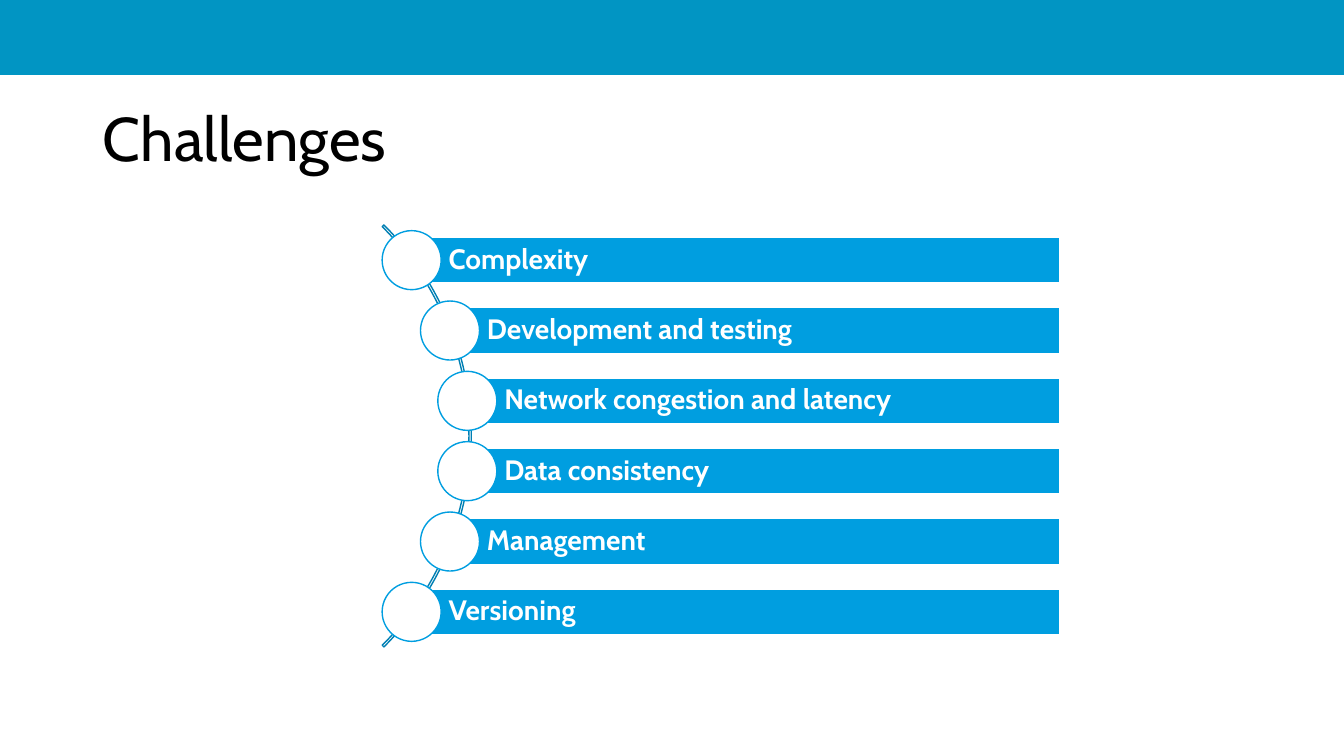
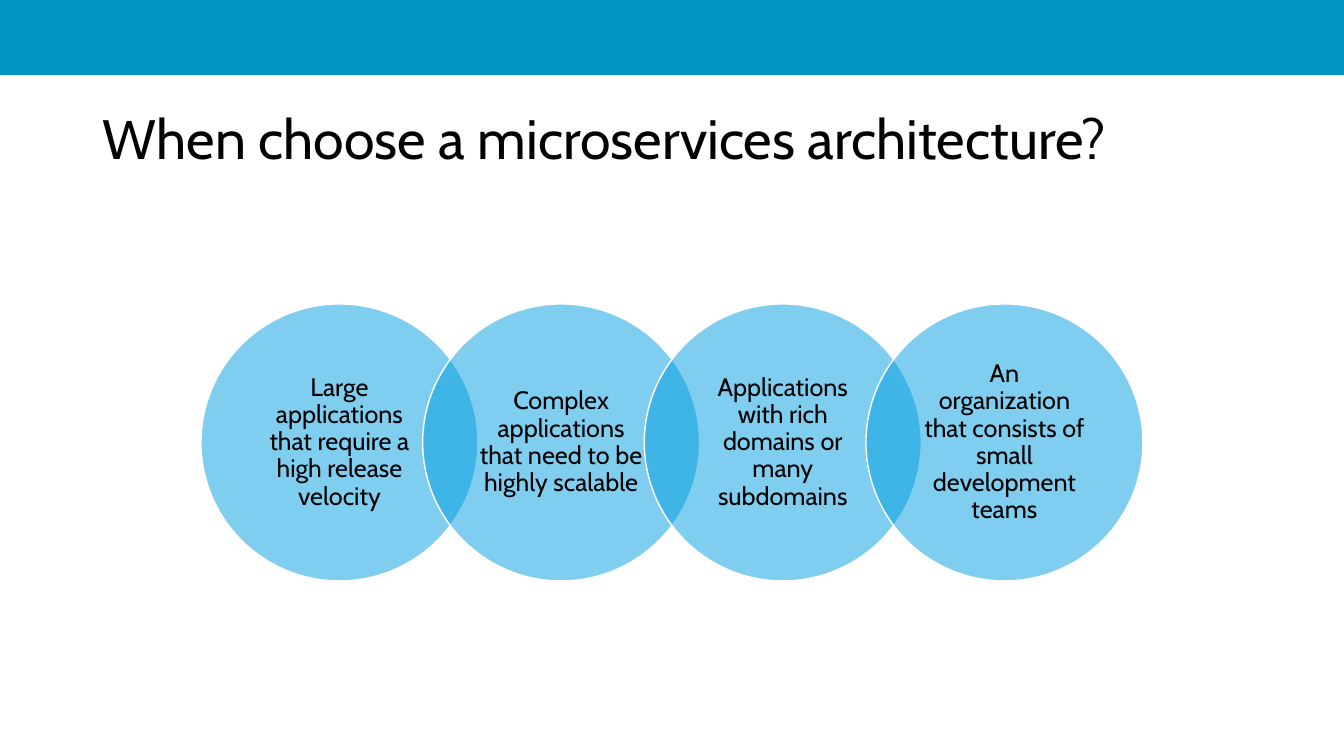
from math import sqrt

from pptx import Presentation
from pptx import util as u
from pptx.dml.color import RGBColor
from pptx.enum import shapes, text
from pptx.oxml import parse_xml
from pptx.oxml.ns import nsdecls, qn

WIDE, HIGH = 1344, 756
SCALE = 914400 / 100.8
FONT = "Cabin"
INK = {"band": "0195C3", "blue": "009EE0", "arc": "007FB3",
       "white": "FFFFFF", "black": "000000"}
KIND = shapes.MSO_SHAPE


def px(n):
    return u.Emu(round(n * SCALE))


def rgb(name):
    return RGBColor.from_string(INK[name])


def shape(slide, kind, box, fill=None, line=None):
    item = slide.shapes.add_shape(kind, *map(px, box))
    item.shadow.inherit = False
    if fill:
        item.fill.solid()
        item.fill.fore_color.rgb = rgb(fill)
    else:
        item.fill.background()
    if line:
        item.line.color.rgb = rgb(line)
        item.line.width = u.Pt(1)
    else:
        item.line.fill.background()
    return item


def write(item, words, size, ink, inset, align=text.PP_ALIGN.LEFT, bold=False):
    frame = item.text_frame
    frame.word_wrap = True
    frame.auto_size = text.MSO_AUTO_SIZE.NONE
    frame.vertical_anchor = text.MSO_ANCHOR.MIDDLE
    (frame.margin_left, frame.margin_top,
     frame.margin_right, frame.margin_bottom) = map(px, inset)
    frame.text = words
    para = frame.paragraphs[0]
    para.alignment = align
    para.line_spacing = 0.9
    font = para.font
    font.name, font.size, font.bold = FONT, u.Pt(size), bold
    font.color.rgb = rgb(ink)


def fade(item, percent):
    color = item.fill._xPr.find(qn("a:solidFill"))[0]
    color.append(parse_xml(
        f'<a:alpha {nsdecls("a")} val="{percent * 1000}"/>'))


def page(deck, words, size):
    """Add a slide with its title."""
    slide = deck.slides.add_slide(deck.slide_layouts[5])
    title = slide.shapes.title
    title.left, title.top, title.width, title.height = map(
        px, (93, 98, 1159, 88))
    write(title, words, size, "black", (10, 5, 10, 5))
    return slide


def band(slide):
    """Put the top band on the layout that the slides share."""
    bar = shape(slide, KIND.RECTANGLE, (0, 0, WIDE, 75), "band")
    slide.slide_layout.shapes.element.append(bar.element)


def curve(slide, box, items):
    """Bars whose dots follow a quarter arc at the left of the box."""
    left, top, wide, high = box
    mid_x, mid_y = left - high / 2, top + high / 2
    rad = high / sqrt(2)
    arc = shape(slide, KIND.BLOCK_ARC,
                (mid_x - rad, mid_y - rad, 2 * rad, 2 * rad), line="arc")
    for i, value in enumerate((189, 27, 0.004)):
        arc.adjustments[i] = value

    step, tall, dot = high / len(items), 46, 59
    for i, words in enumerate(items):
        y = top + (i + 0.5) * step
        x = mid_x + sqrt((rad - 2) ** 2 - (y - mid_y) ** 2)
        bar = shape(slide, KIND.RECTANGLE,
                    (x, y - tall / 2, left + wide - x, tall), "blue", "white")
        write(bar, words, 20, "white", (37, 6, 6, 6), bold=True)
        shape(slide, KIND.OVAL, (x - dot / 2, y - dot / 2, dot, dot),
              "white", "blue")


def chain(slide, box, items):
    """Circles in a row, each covering a fifth of the one before."""
    left, top, wide, size = box
    step = (wide - size) / (len(items) - 1)
    for i, words in enumerate(items):
        ring = shape(slide, KIND.OVAL, (left + i * step, top, size, size),
                     "blue", "white")
        fade(ring, 50)
        write(ring, words, 18, "black", (15, 3, 15, 3), text.PP_ALIGN.CENTER)


def main():
    deck = Presentation()
    deck.slide_width, deck.slide_height = px(WIDE), px(HIGH)

    # Challenges
    slide = page(deck, "Challenges", 44)
    band(slide)
    curve(slide, (384, 225, 676, 422), (
        "Complexity",
        "Development and testing",
        "Network congestion and latency",
        "Data consistency",
        "Management",
        "Versioning",
    ))

    # Reasons to choose
    slide = page(deck, "When choose a microservices architecture?", 39.6)
    chain(slide, (201, 304, 942, 277), (
        "Large applications that require a high release velocity",
        "Complex applications that need to be highly scalable",
        "Applications with rich domains or many subdomains",
        "An organization that consists of small development teams",
    ))

    deck.save("out.pptx")


if __name__ == "__main__":
    main()
